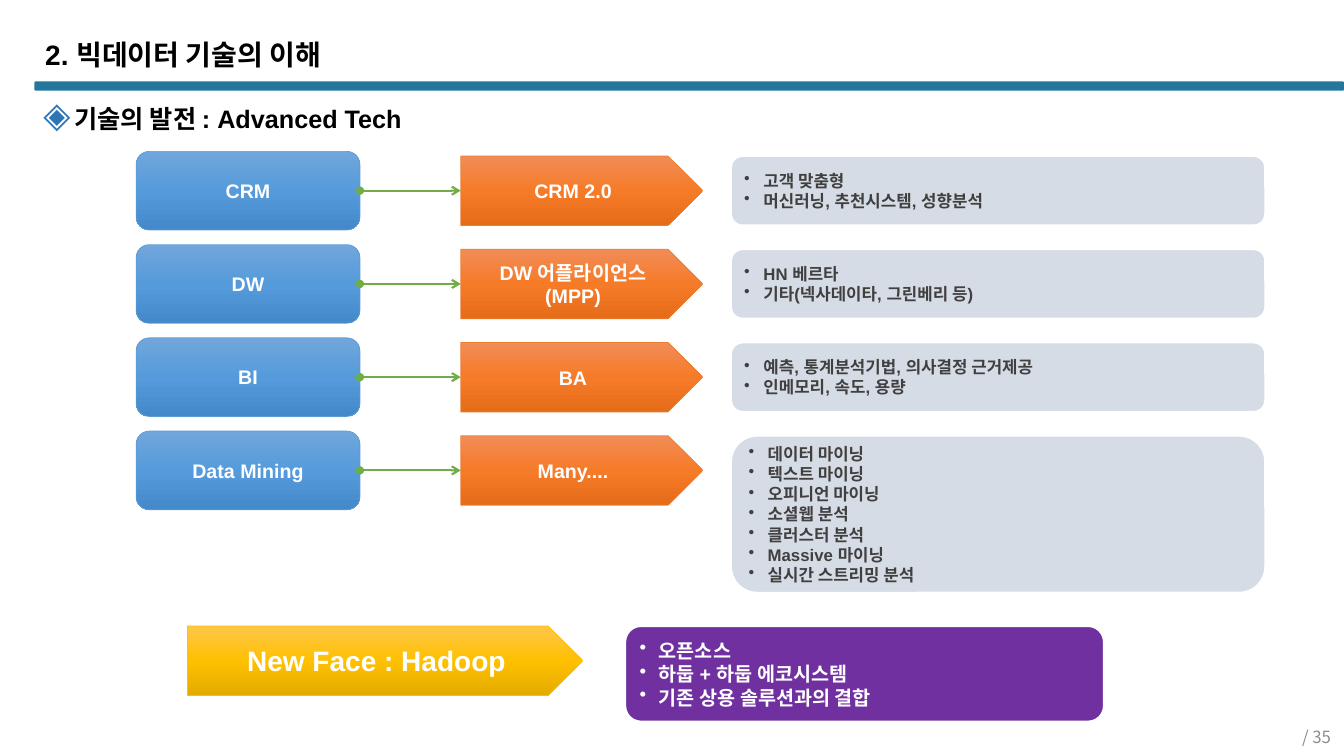
import copy
from dataclasses import dataclass

import lxml.etree
import pptx
import pptx.dml.color
import pptx.enum.shapes
import pptx.enum.text
import pptx.oxml.ns
import pptx.util

SHAPE = pptx.enum.shapes.MSO_SHAPE
ALIGN = pptx.enum.text.PP_ALIGN
ANCHOR = pptx.enum.text.MSO_ANCHOR
qn = pptx.oxml.ns.qn


@dataclass(frozen=True)
class Theme:
    latin: str = "Arial"
    korean: str = "Noto Sans CJK KR"
    ink: str = "000000"
    bar: str = "22779B"
    marker: str = "2E75B6"
    white: str = "FFFFFF"
    panel: str = "D6DCE5"
    panel_text: str = "404040"
    purple: str = "7030A0"
    arrow: str = "70AD47"
    page: str = "8C8C8C"
    # Outline colour, then gradient from top to bottom
    blue: tuple = ("5B9BD5", "71A6DB", "559BDB", "448ACA")
    orange: tuple = ("ED7D31", "F18C57", "F67B28", "E56C19")
    gold: tuple = ("FFC000", "FFC64B", "FFC000", "E3AB00")
    title_size: int = 20
    heading_size: int = 18
    label_size: int = 14
    small_size: int = 12


def rgb(value):
    return pptx.dml.color.RGBColor.from_string(value)


def child(parent, tag, **attributes):
    return lxml.etree.SubElement(parent, qn(tag), attributes)


class Board:
    """A slide on a grid of 160 columns by 90 rows."""

    def __init__(self, deck, theme):
        self.theme = theme
        self.cell = deck.slide_height / 90
        self.shapes = deck.slides.add_slide(deck.slide_layouts[6]).shapes

    def grid(self, *lengths):
        return [round(length * self.cell) for length in lengths]

    def fill_text(self, shape, lines, size, color, bullet=None, indent=0.19,
                  marker=None, bold=True, latin=None, insets=(0.1, 0),
                  anchor=ANCHOR.MIDDLE, align=ALIGN.LEFT, spacing=None):
        frame = shape.text_frame
        side, end = map(pptx.util.Inches, insets)
        frame_format = {"word_wrap": True, "vertical_anchor": anchor,
                        "margin_left": side, "margin_right": side,
                        "margin_top": end, "margin_bottom": end}
        for name, value in frame_format.items():
            setattr(frame, name, value)
        font_format = {"size": pptx.util.Pt(size), "bold": bold,
                       "name": latin or self.theme.latin}
        for number, line in enumerate(lines):
            paragraph = frame.paragraphs[0] if number == 0 else frame.add_paragraph()
            paragraph.alignment = align
            if spacing:
                paragraph.line_spacing = spacing
            if bullet:
                properties = paragraph._p.get_or_add_pPr()
                hang = pptx.util.Inches(indent)
                properties.set("marL", str(hang))
                properties.set("indent", str(-hang))
                if marker:
                    child(child(properties, "a:buClr"), "a:srgbClr", val=marker)
                    child(properties, "a:buSzPct", val="140000")
                child(properties, "a:buChar", char=bullet)
            run = paragraph.add_run()
            run.text = line
            for name, value in font_format.items():
                setattr(run.font, name, value)
            run.font.color.rgb = rgb(color)
            child(run._r.get_or_add_rPr(), "a:ea", typeface=self.theme.korean)

    def text(self, place, lines, size, color, **style):
        self.fill_text(self.shapes.add_textbox(*self.grid(*place)),
                       lines, size, color, **style)

    def block(self, kind, place, fill, outline=None, width=0.5):
        shape = self.shapes.add_shape(kind, *self.grid(*place))
        shape.shadow.inherit = False
        shape.fill.solid()
        shape.fill.fore_color.rgb = rgb(fill)
        if outline:
            shape.line.color.rgb = rgb(outline)
            shape.line.width = pptx.util.Pt(width)
        else:
            shape.line.fill.background()
        return shape

    def label(self, kind, place, palette, lines, size):
        outline, *colors = palette
        shape = self.block(kind, place, colors[1], outline)
        shape.fill.gradient()
        shape.fill.gradient_angle = 270
        stops = shape._element.xpath(".//a:gsLst")[0]
        stops.insert(1, copy.deepcopy(stops[0]))
        for stop, color, position in zip(shape.fill.gradient_stops, colors, (0, 0.5, 1)):
            stop.color.rgb = rgb(color)
            stop.position = position
        self.fill_text(shape, lines, size, self.theme.white, align=ALIGN.CENTER)

    def panel(self, place, lines, fill, size, color):
        shape = self.block(SHAPE.ROUNDED_RECTANGLE, place, fill, self.theme.white, 1.5)
        self.fill_text(shape, lines, size, color, bullet="•")

    def arrow(self, start, end, row):
        connector = self.shapes.add_connector(
            pptx.enum.shapes.MSO_CONNECTOR.STRAIGHT, *self.grid(start, row, end, row))
        connector.line.color.rgb = rgb(self.theme.arrow)
        connector.line.width = pptx.util.Pt(1.5)
        properties = connector._element.spPr
        outline = properties.find(qn("a:ln"))
        child(outline, "a:headEnd", type="oval")
        child(outline, "a:tailEnd", type="arrow")
        child(properties, "a:effectLst")


TECHNOLOGIES = [
    ("CRM", ["CRM 2.0"], ["고객 맞춤형", "머신러닝, 추천시스템, 성향분석"], 8.28),
    ("DW", ["DW 어플라이언스", "(MPP)"],
     ["HN 베르타", "기타(넥사데이타, 그린베리 등)"], 8.28),
    ("BI", ["BA"],
     ["예측, 통계분석기법, 의사결정 근거제공", "인메모리, 속도, 용량"], 8.28),
    ("Data Mining", ["Many...."],
     ["데이터 마이닝", "텍스트 마이닝", "오피니언 마이닝", "소셜웹 분석",
      "클러스터 분석", "Massive 마이닝", "실시간 스트리밍 분석"], 18.72),
]


def main():
    deck = pptx.Presentation()
    deck.slide_width = pptx.util.Inches(13.33)
    deck.slide_height = pptx.util.Inches(7.5)
    theme = Theme()
    board = Board(deck, theme)

    # Title, bar and heading
    bar = board.block(SHAPE.ROUNDED_RECTANGLE, (4.1, 9.7, 155.86, 1.08), theme.bar)
    bar.adjustments[0] = 0.13
    board.text((5.16, 12.36, 105.4, 3.6), ["기술의 발전 : Advanced Tech"],
               theme.heading_size, theme.ink, bullet="◈", indent=0.31,
               marker=theme.marker, insets=(0, 0), anchor=ANCHOR.TOP)
    board.text((4.2, 3.96, 52.2, 5.64), ["2. 빅데이터 기술의 이해"],
               theme.title_size, theme.ink, insets=(0.1, 0.05), spacing=0.9)

    # Each technology, its successor and its traits
    box_left, box_width, box_height = 16.2, 26.64, 9.36
    next_left, next_width, next_height = 54.84, 28.8, 8.28
    for number, (before, after, traits, height) in enumerate(TECHNOLOGIES):
        middle = 22.7 + 11.1 * number
        board.label(SHAPE.ROUNDED_RECTANGLE,
                    (box_left, middle - box_height / 2, box_width, box_height),
                    theme.blue, [before], theme.label_size)
        board.label(SHAPE.PENTAGON,
                    (next_left, middle - next_height / 2, next_width, next_height),
                    theme.orange, after, theme.label_size)
        board.arrow(box_left + box_width, next_left, middle)
        board.panel((87, middle - next_height / 2, 63.6, height), traits,
                    theme.panel, theme.small_size, theme.panel_text)

    # Newcomer
    board.label(SHAPE.PENTAGON, (22.32, 74.52, 47.04, 8.28), theme.gold,
                ["New Face : Hadoop"], theme.title_size)
    board.panel((74.4, 74.52, 57, 11.4),
                ["오픈소스", "하둡 + 하둡 에코시스템", "기존 상용 솔루션과의 결합"],
                theme.purple, theme.label_size, theme.white)

    # Page count
    board.text((122.6, 86.3, 37, 2.76), ["/ 35"], theme.small_size, theme.page,
               bold=False, latin=theme.korean, align=ALIGN.RIGHT)

    deck.save("out.pptx")


if __name__ == "__main__":
    main()
